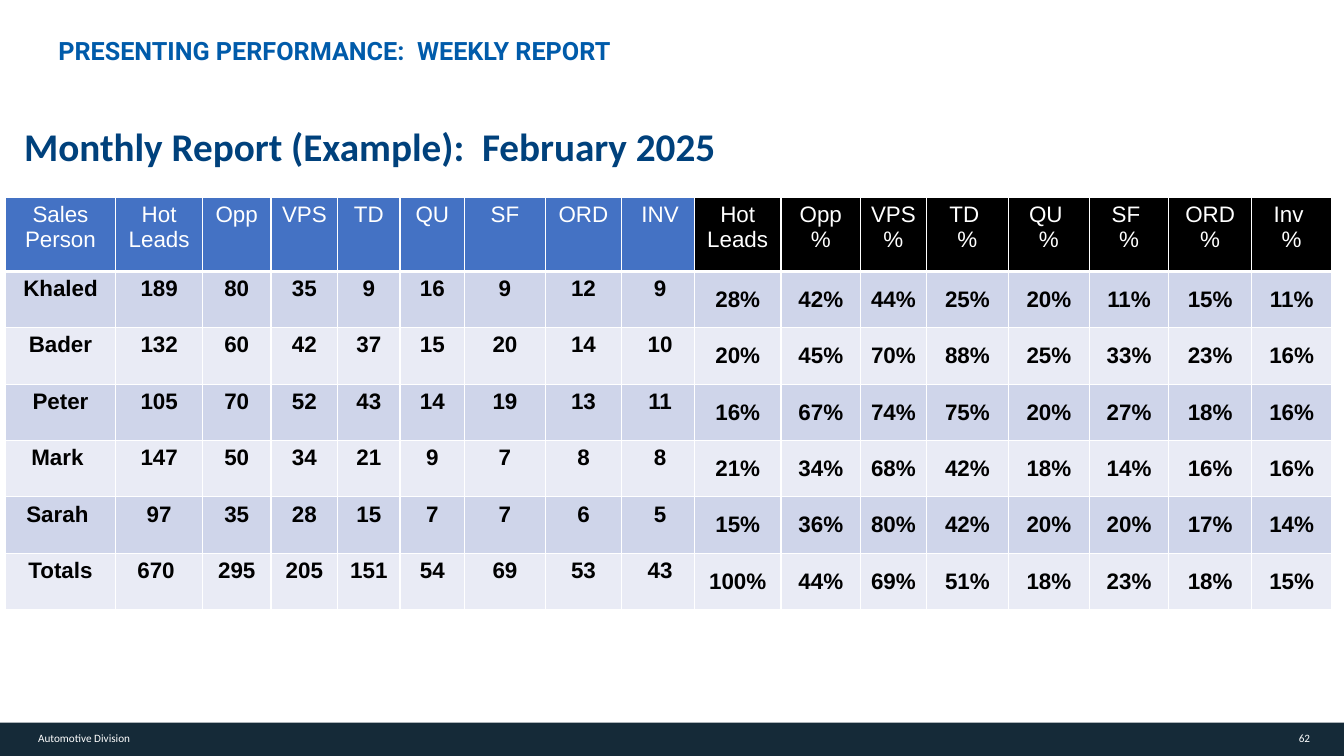
from dataclasses import dataclass

from lxml import etree
from pptx import Presentation
from pptx.dml.color import RGBColor
from pptx.enum import shapes, text
from pptx.oxml.ns import qn
from pptx.util import Cm, Pt

COLORS = {
    "white": "FFFFFF",
    "black": "000000",
    "footer": "152A38",
    "heading": "005BAA",
    "subheading": "00417C",
    "counts header": "4472C4",
    "dark band": "CFD5EA",
    "light band": "E9EBF5",
}
HEADER_HEIGHT = 1.86
ROW_HEIGHT = 1.42
TABLE_TOP = 4.98


@dataclass
class Style:
    """Character formatting of a run."""

    font: str
    size: float
    color: str
    bold: bool = False


@dataclass
class Label:
    """A one-line text box, with its box and insets in centimetres."""

    words: str
    box: tuple[float, float, float, float]
    style: Style
    insets: tuple[float, float, float, float] = (0, 0, 0, 0)
    anchor: text.MSO_ANCHOR = text.MSO_ANCHOR.TOP
    align: text.PP_ALIGN = text.PP_ALIGN.LEFT
    wrap: bool = True
    spacing: float = 1.0


@dataclass
class Report:
    """One half of the monthly report."""

    left: float
    widths: list[float]
    header_fill: str
    headers: list[str]
    rows: list[list[str]]
    body_anchor: text.MSO_ANCHOR


HEADER_STYLE = Style("Arial", 16, "white")
BODY_STYLE = Style("Arial", 16, "black", True)
FOOTER_STYLE = Style("Calibri", 8, "white")

HEADING = Label("PRESENTING PERFORMANCE:  WEEKLY REPORT", (1.47, 0.89, 30.25, 0.76),
                Style("Roboto", 18, "heading", True))
LABELS = [
    Label("62", (32.66, 18.44, 0.36, 0.33), FOOTER_STYLE, anchor=text.MSO_ANCHOR.MIDDLE,
          align=text.PP_ALIGN.RIGHT, wrap=False),
    Label("Automotive Division", (0.71, 18.29, 3.07, 0.61), FOOTER_STYLE,
          insets=(0.25, 0.13, 0.25, 0.13), wrap=False),
    Label("Monthly Report (Example):  February 2025", (0.36, 1.65, 24.1, 3.33),
          Style("Calibri", 28, "subheading", True), insets=(0.25, 1.57, 0.25, 0.13), spacing=0.9),
]
REPORTS = [
    Report(
        0.13, [2.79, 2.18, 1.73, 1.68, 1.57, 1.63, 2.03, 1.93, 1.93], "counts header",
        ["Sales Person", "Hot Leads", "Opp", "VPS", "TD", "QU", "SF", "ORD", "INV"],
        [
            ["Khaled", "189", "80", "35", "9", "16", "9", "12", "9"],
            ["Bader", "132", "60", "42", "37", "15", "20", "14", "10"],
            ["Peter", "105", "70", "52", "43", "14", "19", "13", "11"],
            ["Mark ", "147", "50", "34", "21", "9", "7", "8", "8"],
            ["Sarah ", "97", "35", "28", "15", "7", "7", "6", "5"],
            ["Totals", "670 ", "295", "205", "151", "54", "69", "53", "43"],
        ],
        text.MSO_ANCHOR.TOP,
    ),
    Report(
        17.5, [2.18, 2.01, 1.65, 2.08, 2.03, 2.01, 2.08, 2.03], "black",
        ["Hot Leads", "Opp\n%", "VPS\n%", "TD \n%", "QU \n%", "SF \n%", "ORD\n%", "Inv \n%"],
        [
            ["28%", "42%", "44%", "25%", "20%", "11%", "15%", "11%"],
            ["20%", "45%", "70%", "88%", "25%", "33%", "23%", "16%"],
            ["16%", "67%", "74%", "75%", "20%", "27%", "18%", "16%"],
            ["21%", "34%", "68%", "42%", "18%", "14%", "16%", "16%"],
            ["15%", "36%", "80%", "42%", "20%", "20%", "17%", "14%"],
            ["100%", "44%", "69%", "51%", "18%", "23%", "18%", "15%"],
        ],
        text.MSO_ANCHOR.MIDDLE,
    ),
]


def rgb(name: str) -> RGBColor:
    """Look up a named colour."""
    return RGBColor.from_string(COLORS[name])


def add_run(paragraph, words: str, style: Style) -> None:
    """Append a formatted run to a paragraph."""
    run = paragraph.add_run()
    run.text = words
    run.font.name = style.font
    run.font.size = Pt(style.size)
    run.font.bold = style.bold
    run.font.color.rgb = rgb(style.color)


def fill_label(shape, label: Label) -> None:
    """Place a text shape and write its label."""
    shape.left, shape.top, shape.width, shape.height = map(Cm, label.box)
    frame = shape.text_frame
    frame.auto_size = text.MSO_AUTO_SIZE.NONE
    frame.word_wrap = label.wrap
    frame.vertical_anchor = label.anchor
    (frame.margin_left, frame.margin_top,
     frame.margin_right, frame.margin_bottom) = map(Cm, label.insets)
    paragraph = frame.paragraphs[0]
    paragraph.alignment = label.align
    paragraph.line_spacing = label.spacing
    add_run(paragraph, label.words, label.style)


def add_borders(cell, bottom: float) -> None:
    """Draw white borders around a cell, with its own bottom width."""
    properties = cell._tc.get_or_add_tcPr()
    for side, width in (("L", 1), ("R", 1), ("T", 1), ("B", bottom)):
        line = etree.SubElement(properties, qn(f"a:ln{side}"), w=str(Pt(width)))
        solid = etree.SubElement(line, qn("a:solidFill"))
        etree.SubElement(solid, qn("a:srgbClr"), val=COLORS["white"])


def fill_cell(cell, words: str, style: Style, fill: str, anchor, bottom: float) -> None:
    """Format a table cell and write one paragraph for each line."""
    add_borders(cell, bottom)
    cell.fill.solid()
    cell.fill.fore_color.rgb = rgb(fill)
    cell.vertical_anchor = anchor
    for index, line in enumerate(words.split("\n")):
        paragraph = cell.text_frame.add_paragraph() if index else cell.text_frame.paragraphs[0]
        paragraph.alignment = text.PP_ALIGN.CENTER
        add_run(paragraph, line, style)


def add_report(slide, report: Report) -> None:
    """Add one half of the report as a table."""
    heights = [HEADER_HEIGHT] + [ROW_HEIGHT] * len(report.rows)
    table = slide.shapes.add_table(
        len(heights), len(report.widths), Cm(report.left), Cm(TABLE_TOP),
        Cm(sum(report.widths)), Cm(sum(heights))).table
    table.horz_banding = False
    for column, width in zip(table.columns, report.widths):
        column.width = Cm(width)
    for row, height in zip(table.rows, heights):
        row.height = Cm(height)
    for index, words in enumerate(report.headers):
        fill_cell(table.cell(0, index), words, HEADER_STYLE, report.header_fill,
                  text.MSO_ANCHOR.TOP, 3)
    for number, values in enumerate(report.rows, start=1):
        band = "dark band" if number % 2 else "light band"
        for index, value in enumerate(values):
            fill_cell(table.cell(number, index), value, BODY_STYLE, band, report.body_anchor, 1)


def main() -> None:
    """Build the monthly sales report slide."""
    presentation = Presentation()
    presentation.slide_width, presentation.slide_height = Cm(33.87), Cm(19.05)
    slide = presentation.slides.add_slide(presentation.slide_layouts[5])
    fill_label(slide.shapes.title, HEADING)
    footer = slide.shapes.add_shape(
        shapes.MSO_SHAPE.RECTANGLE, 0, Cm(18.21), presentation.slide_width, Cm(0.84))
    footer.shadow.inherit = False
    footer.fill.solid()
    footer.fill.fore_color.rgb = rgb("footer")
    footer.line.fill.background()
    for report in REPORTS:
        add_report(slide, report)
    for label in LABELS:
        fill_label(slide.shapes.add_textbox(*map(Cm, label.box)), label)
    presentation.save("out.pptx")


if __name__ == "__main__":
    main()
